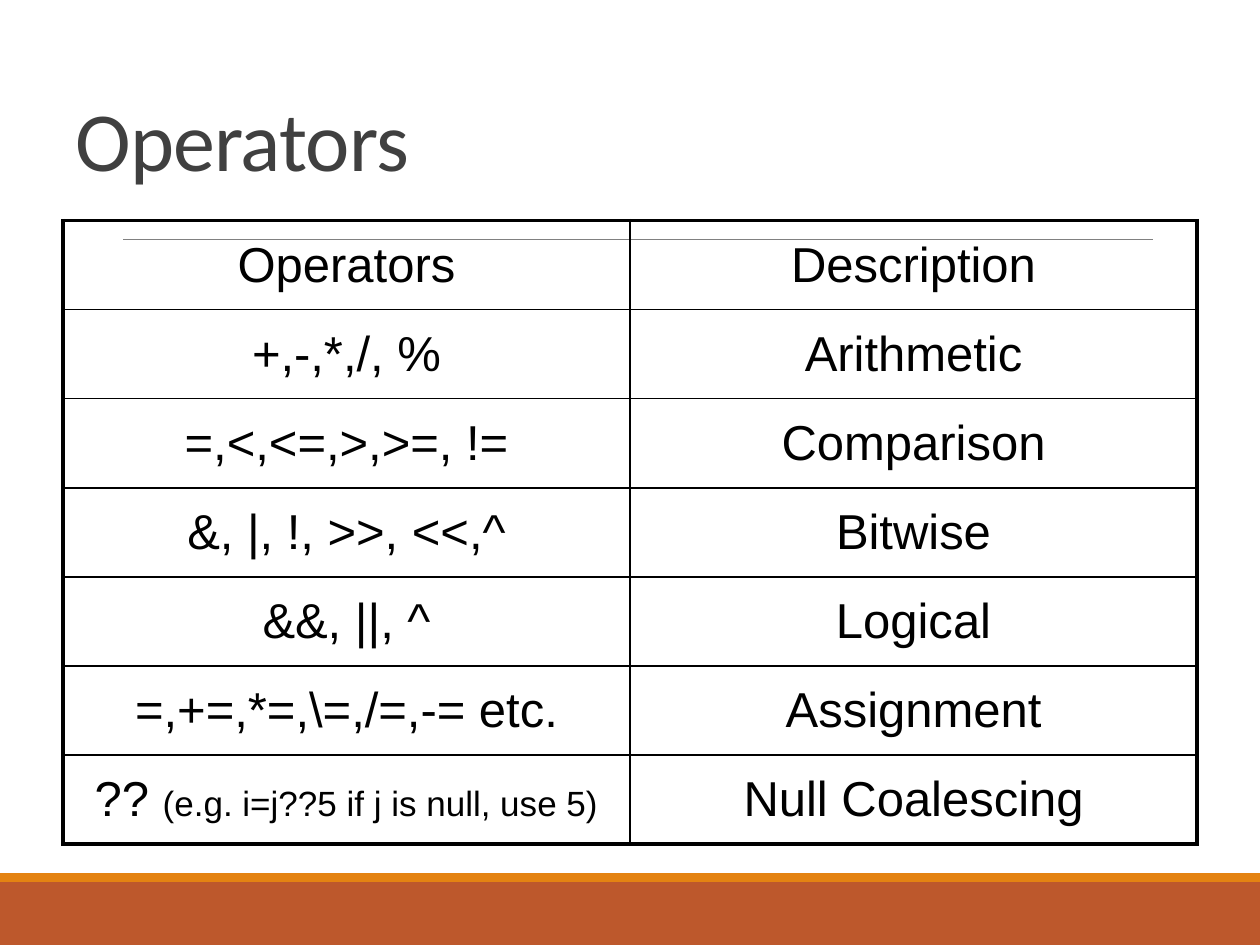
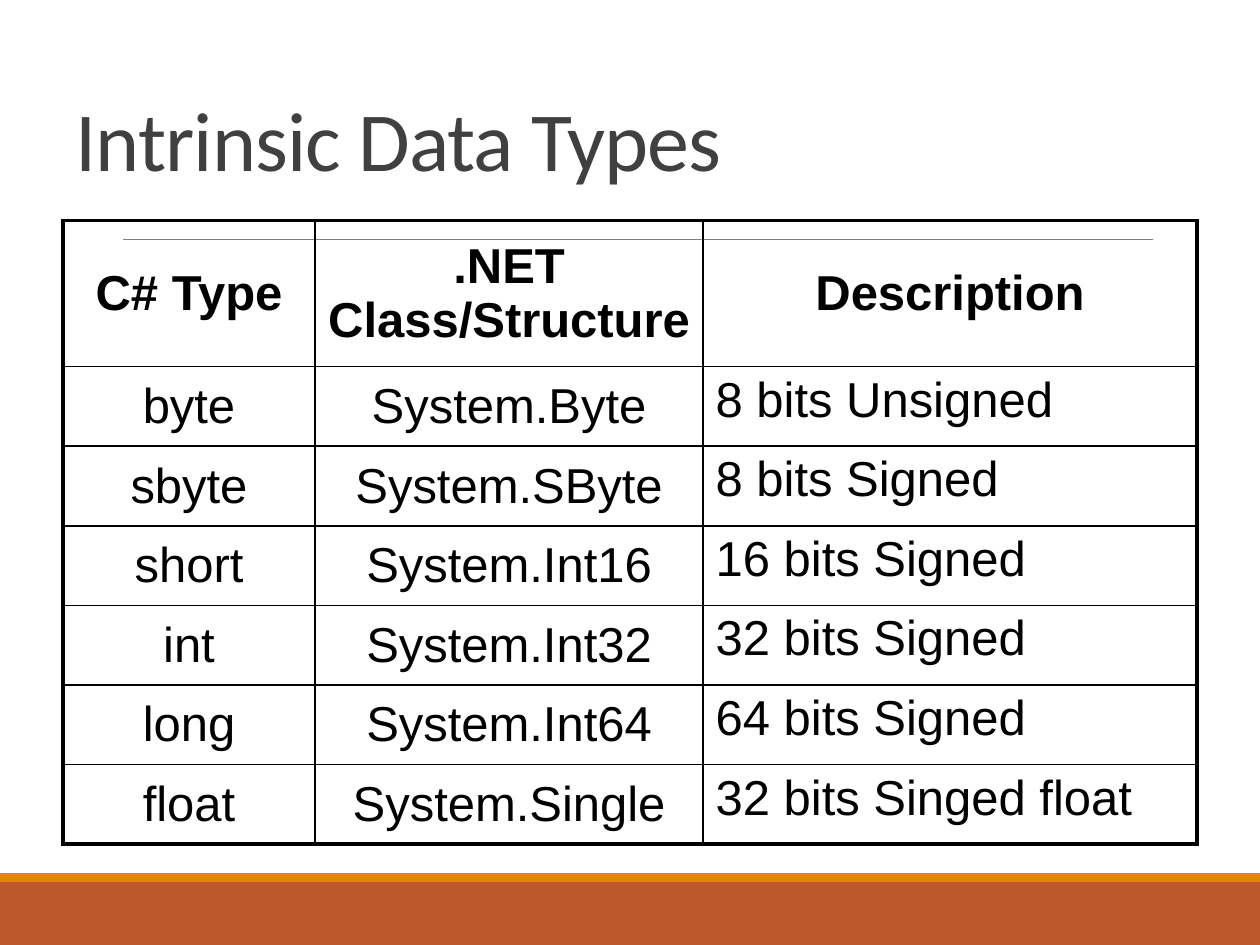
import pptx
import pptx.util
import pptx.dml.color
import pptx.enum.shapes
import pptx.enum.text
import pptx.oxml
import pptx.oxml.ns

Inches, Pt = pptx.util.Inches, pptx.util.Pt
Align = pptx.enum.text.PP_ALIGN
Anchor = pptx.enum.text.MSO_ANCHOR
qn = pptx.oxml.ns.qn

COLORS = {"band": "BD582C", "strip": "E48312", "rule": "808080",
          "title": "404040", "ink": "000000"}
TITLE = {"name": "Calibri", "size": Pt(48)}
BODY = {"name": "Arial", "size": Pt(28), "bold": False}
HEAD = {**BODY, "bold": True}
SMALL = {**BODY, "size": Pt(20)}
THIN, THICK = 1, 2.25
TITLE_BOX = (0.5, 0.3, 9, 1.25)
TABLE_BOX = (0.5, 1.75, 9, 4.95)
FOOT_BOX = (0, 6.93, 10, 0.57)

OPERATORS = [
    ("Operators", "Description"),
    ("+,-,*,/, %", "Arithmetic"),
    ("=,<,<=,>,>=, !=", "Comparison"),
    ("&, |, !, >>, <<,^", "Bitwise"),
    ("&&, ||, ^", "Logical"),
    ("=,+=,*=,\\=,/=,-= etc.", "Assignment"),
    ("?? ", "Null Coalescing"),
]
EXAMPLE = "(e.g. i=j??5 if j is null, use 5)"

TYPES = [
    ("C# Type", ".NET Class/Structure", "Description"),
    ("byte", "System.Byte", "8 bits Unsigned"),
    ("sbyte", "System.SByte", "8 bits Signed"),
    ("short", "System.Int16", "16 bits Signed"),
    ("int", "System.Int32", "32 bits Signed"),
    ("long", "System.Int64", "64 bits Signed"),
    ("float", "System.Single", "32 bits Singed float"),
]


def color(name):
    return pptx.dml.color.RGBColor.from_string(COLORS[name])


def add_run(para, text, style, ink):
    run = para.add_run()
    run.text = text
    for key, value in style.items():
        setattr(run.font, key, value)
    run.font.color.rgb = color(ink)
    return run


def add_bar(slide, box, fill):
    bar = slide.shapes.add_shape(pptx.enum.shapes.MSO_SHAPE.RECTANGLE,
                                 *map(Inches, box))
    bar.shadow.inherit = False
    bar.fill.solid()
    bar.fill.fore_color.rgb = color(fill)
    bar.line.fill.background()


def add_foot(slide, box):
    left, top, width, height = box
    strip = 0.07
    add_bar(slide, (left, top + strip, width, height - strip), "band")
    add_bar(slide, (left, top, width, strip), "strip")


def add_rule(slide, left, right, top):
    rule = slide.shapes.add_connector(
        pptx.enum.shapes.MSO_CONNECTOR.STRAIGHT,
        *map(Inches, (left, top, right, top)))
    rule.line.color.rgb = color("rule")
    rule.line.width = Pt(0.5)
    props = rule.element.find(qn("p:spPr"))
    pptx.oxml.ns  # namespace helpers stay grouped under pptx.oxml
    props.append(props.makeelement(qn("a:effectLst"), {}))


def add_title(slide, box, text):
    frame = slide.shapes.add_textbox(*map(Inches, box)).text_frame
    frame.word_wrap = True
    frame.vertical_anchor = Anchor.BOTTOM
    para = frame.paragraphs[0]
    para.line_spacing = 0.85
    run = add_run(para, text, TITLE, "title")
    run.font._element.set("spc", "-50")


def add_edges(cell, edges):
    """Draw cell borders; edges maps L, R, T, B to point widths."""
    props = cell._tc.get_or_add_tcPr()
    for side, width in edges.items():
        props.append(pptx.oxml.parse_xml(
            f'<a:ln{side} {pptx.oxml.ns.nsdecls("a")} w="{Pt(width)}">'
            f'<a:solidFill><a:srgbClr val="{COLORS["ink"]}"/></a:solidFill>'
            f'</a:ln{side}>'))


def add_table(slide, box, data, widths, first, head=BODY, aligns=None):
    """Fill box with a table; first is the height of the top row."""
    rows, cols = len(data), len(data[0])
    table = slide.shapes.add_table(rows, cols, *map(Inches, box)).table
    table.first_row = table.horz_banding = False
    rest = (box[3] - first) / (rows - 1)
    for col, width in zip(table.columns, widths):
        col.width = Inches(width)
    for r, line in enumerate(data):
        table.rows[r].height = Inches(rest if r else first)
        for c, text in enumerate(line):
            cell = table.cell(r, c)
            # Heavy outer frame, thin inner grid
            add_edges(cell, {"L": THIN if c else THICK,
                             "R": THICK if c == cols - 1 else THIN,
                             "T": THIN if r else THICK,
                             "B": THICK if r == rows - 1 else THIN})
            cell.fill.background()
            align = aligns[c] if aligns and r else Align.CENTER
            centred = align == Align.CENTER
            cell.vertical_anchor = Anchor.MIDDLE if centred else Anchor.TOP
            para = cell.text_frame.paragraphs[0]
            para.alignment = align
            add_run(para, text, BODY if r else head, "ink")
    return table


def add_page(deck, title):
    slide = deck.slides.add_slide(deck.slide_layouts[6])
    add_foot(slide, FOOT_BOX)
    add_rule(slide, 0.98, 9.15, 1.9)
    add_title(slide, TITLE_BOX, title)
    return slide


def main():
    deck = pptx.Presentation()
    deck.slide_width, deck.slide_height = Inches(10), Inches(7.5)

    # Operators
    slide = add_page(deck, "Operators")
    table = add_table(slide, TABLE_BOX, OPERATORS, (4.5, 4.5),
                      TABLE_BOX[3] / len(OPERATORS))
    last = table.cell(len(OPERATORS) - 1, 0).text_frame.paragraphs[0]
    add_run(last, EXAMPLE, SMALL, "ink")

    # Data types
    slide = add_page(deck, "Intrinsic Data Types")
    add_table(slide, TABLE_BOX, TYPES, (2, 3.08, 3.92), 1.16, HEAD,
              (Align.CENTER, Align.CENTER, Align.LEFT))

    deck.save("out.pptx")


if __name__ == "__main__":
    main()
